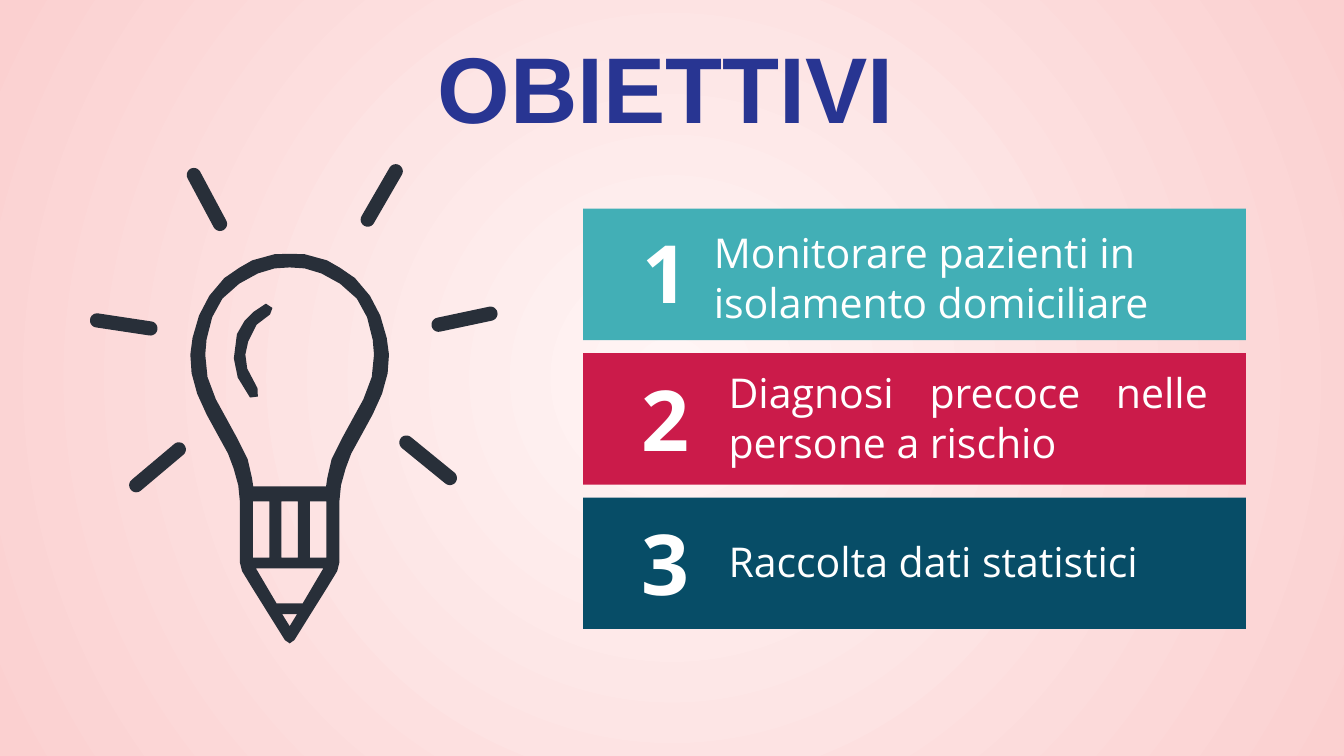
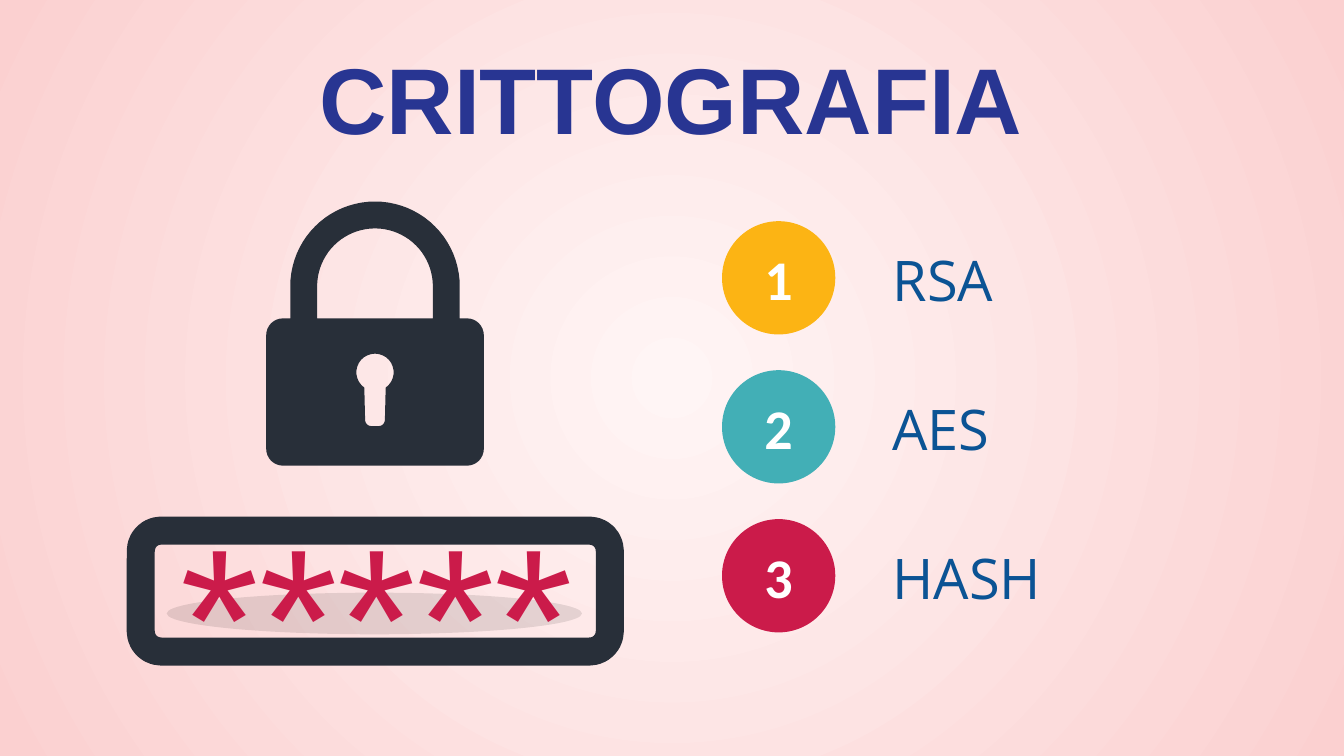
import math

import lxml.etree
import pptx
import pptx.dml.color
import pptx.enum.shapes
import pptx.enum.text
import pptx.oxml
import pptx.oxml.ns
import pptx.util

Pt = pptx.util.Pt
RGB = pptx.dml.color.RGBColor.from_string
qn = pptx.oxml.ns.qn
ALIGN = pptx.enum.text.PP_ALIGN
MIDDLE = pptx.enum.text.MSO_ANCHOR.MIDDLE
SHAPE = pptx.enum.shapes.MSO_SHAPE

COLORS = {
    "glow": "FFF5F5", "blush": "FBD0D0", "title": "283592", "ink": "282F39",
    "teal": "42AFB6", "crimson": "CB1B4A", "petrol": "074D67",
    "amber": "FCB414", "label": "0B5394", "white": "FFFFFF", "black": "000000",
}
TITLE = {"size": Pt(50), "name": "Arial", "bold": True}
NUMBER = {"size": Pt(45), "name": "Open Sans", "bold": True}
GOAL = {"size": Pt(22), "name": "Open Sans"}
BADGE = {"size": Pt(30), "name": "Calibri", "bold": True}
METHOD = {"size": Pt(30), "name": "Open Sans"}
PASSWORD = {"size": Pt(108), "name": "Arial"}


def arc(x, y, radius, start, end, steps=24):
    """Points on a circle, with angles in degrees, clockwise from the right."""
    angles = [math.radians(start + (end - start) * i / steps) for i in range(steps + 1)]
    return [(x + radius * math.cos(a), y + radius * math.sin(a)) for a in angles]


def write(shape, text, font_format, color, align=ALIGN.CENTER, anchor=None, inset=(5.14, 2.57)):
    frame = shape.text_frame
    across, down = map(Pt, inset)
    frame_format = {
        "word_wrap": True, "vertical_anchor": anchor,
        "margin_left": across, "margin_right": across,
        "margin_top": down, "margin_bottom": down,
    }
    for key, value in frame_format.items():
        setattr(frame, key, value)
    paragraph = frame.paragraphs[0]
    paragraph.alignment = align
    run = paragraph.add_run()
    run.text = text
    for key, value in font_format.items():
        setattr(run.font, key, value)
    run.font.color.rgb = RGB(COLORS[color])


deck = pptx.Presentation()
deck.slide_width, deck.slide_height = Pt(720), Pt(405)

# Background and title of both slides
slides = []
for title, box in [("OBIETTIVI", (71.3, 13.7, 571, 64)), ("CRITTOGRAFIA", (155.5, 19.4, 408.2, 60.5))]:
    slide = deck.slides.add_slide(deck.slide_layouts[6])
    fill = slide.background.fill
    fill.gradient()
    for stop, color in zip(fill.gradient_stops, ("glow", "blush")):
        stop.color.rgb = RGB(COLORS[color])
    gradient = slide.element.find(".//" + qn("a:gradFill"))
    radial = lxml.etree.Element(qn("a:path"), {"path": "circle"})
    lxml.etree.SubElement(radial, qn("a:fillToRect"), dict.fromkeys("ltrb", "50000"))
    gradient.replace(gradient.find(qn("a:lin")), radial)
    write(slide.shapes.add_textbox(*map(Pt, box)), title, TITLE, "title")
    slides.append(slide)
goals, encryption = slides

# Light bulb: right halves of the outlines as (distance from axis, y)
bulb_axis = 155.2
bulb_halves = [
    # outer edge
    [(0, 136), (8, 136.2), (20, 139.5), (27, 143.5), (35, 149), (43, 158.5), (48.5, 169),
     (52, 181), (53.2, 190), (52.5, 200), (49.5, 211), (44.5, 222), (38.5, 233), (33, 243),
     (30, 251), (27.5, 260), (26.7, 268), (26.7, 301), (25.5, 306), (20, 315), (2.5, 343),
     (0, 344.7)],
    # glass
    [(0, 143.3), (8, 143.8), (17, 146.5), (27, 152), (36, 160), (41.5, 170), (44.5, 182),
     (45.2, 190), (44, 202), (39.5, 214), (34, 224), (28, 235), (22.5, 246), (20.2, 256),
     (19.5, 260.6), (0, 260.6)],
    # pencil cone and tip
    [(0, 304.6), (18, 304.6), (7, 323.3), (0, 323.3)],
    [(0, 329), (4, 329), (0, 335.5)],
]
bulb = [
    [(bulb_axis + dx, y) for dx, y in half] + [(bulb_axis - dx, y) for dx, y in reversed(half)]
    for half in bulb_halves
]
for offset in (-15.3, 0, 15.3):
    left, right = bulb_axis + offset - 4.4, bulb_axis + offset + 4.4
    bulb.append([(left, 268.6), (right, 268.6), (right, 298.8), (left, 298.8)])

glint = [
    (125.3, 192), (127, 179), (131, 172), (136, 167), (142.5, 162.7), (146, 165), (144.7, 168.5),
    (137.5, 174), (133, 183), (131.5, 190), (132.5, 197.5), (138, 208), (138.2, 212.5),
    (134, 213), (127.4, 202.3),
]

rays = []
for x1, y1, x2, y2 in [
    (73, 260, 95.8, 240.8), (197, 117.7, 212, 91.8), (103.9, 93.8, 117.9, 120),
    (217.7, 237.1, 241, 256.1), (235, 174, 262.8, 168.1), (52, 171.7, 80.6, 176),
]:
    angle = math.degrees(math.atan2(y2 - y1, x2 - x1))
    rays.append(arc(x2, y2, 3.8, angle - 90, angle + 90, 12)
                + arc(x1, y1, 3.8, angle + 90, angle + 270, 12))

# Padlock: body with shackle, shackle opening, keyhole
lock_axis, lock_top, lock_bottom = 200.9, 170.6, 249.5
lock_left, lock_right = lock_axis - 58.3, lock_axis + 58.3
corner = 9
padlock = [
    [(lock_axis - 45.4, lock_top)]
    + arc(lock_axis, 153.4, 45.4, 180, 360, 40)
    + [(lock_axis + 45.4, lock_top)]
    + arc(lock_right - corner, lock_top + corner, corner, 270, 360, 8)
    + arc(lock_right - corner, lock_bottom - corner, corner, 0, 90, 8)
    + arc(lock_left + corner, lock_bottom - corner, corner, 90, 180, 8)
    + arc(lock_left + corner, lock_top + corner, corner, 180, 270, 8),
    [(lock_axis - 31, lock_top)] + arc(lock_axis, 153.4, 31, 180, 360, 40)
    + [(lock_axis + 31, lock_top)],
    arc(lock_axis, 199.5, 10, 125, 415)
    + arc(lock_axis + 2, 225, 3.3, 0, 90, 6) + arc(lock_axis - 2, 225, 3.3, 90, 180, 6),
]

icons = [(goals, bulb)] + [(goals, [ray]) for ray in rays] + [(goals, [glint]), (encryption, padlock)]
for slide, contours in icons:
    builder = None
    for contour in contours:
        points = [(Pt(x), Pt(y)) for x, y in contour]
        if builder is None:
            builder = slide.shapes.build_freeform(*points[0])
        else:
            builder.move_to(*points[0])
        builder.add_line_segments(points[1:], close=True)
    icon = builder.convert_to_shape()
    icon.shadow.inherit = False
    icon.fill.solid()
    icon.fill.fore_color.rgb = RGB(COLORS["ink"])
    icon.line.fill.background()

# Numbered goal bars
goal_rows = [
    ("teal", "Monitorare pazienti in isolamento domiciliare", (377.3, 119.5, 290.2), 43, ALIGN.LEFT, None),
    ("crimson", "Diagnosi precoce nelle persone a rischio", (385.2, 194.4, 267.1), 45, ALIGN.JUSTIFY, None),
    ("petrol", "Raccolta dati statistici", (385.2, 271.5, 255.6), 45, ALIGN.JUSTIFY, MIDDLE),
]
for i, (color, goal, (left, top, width), number_size, align, anchor) in enumerate(goal_rows):
    bar_top = 111.8 + 77.4 * i
    bar = goals.shapes.add_shape(SHAPE.RECTANGLE, Pt(312.4), Pt(bar_top), Pt(355.1), Pt(70.4))
    bar.shadow.inherit = False
    bar.fill.solid()
    bar.fill.fore_color.rgb = RGB(COLORS[color])
    bar.line.fill.background()
    number = goals.shapes.add_textbox(Pt(319), Pt(bar_top + 5), Pt(74.9), Pt(58.3))
    write(number, str(i + 1), {**NUMBER, "size": Pt(number_size)}, "white")
    description = goals.shapes.add_textbox(Pt(left), Pt(top), Pt(width), Pt(58.3))
    write(description, goal, GOAL, "white", align, anchor)

# Numbered encryption methods
for i, (color, method) in enumerate([("amber", "RSA"), ("teal", "AES"), ("crimson", "HASH")]):
    top = 118.5 + 79.8 * i
    badge = encryption.shapes.add_shape(SHAPE.OVAL, Pt(386.8), Pt(top), Pt(60.7), Pt(60.7))
    badge.shadow.inherit = False
    badge.fill.solid()
    badge.fill.fore_color.rgb = RGB(COLORS[color])
    badge.line.fill.background()
    write(badge, str(i + 1), BADGE, "white", anchor=MIDDLE)
    label = encryption.shapes.add_textbox(Pt(473), Pt(top + 10.4), Pt(213.1), Pt(38.9))
    write(label, method, METHOD, "label", ALIGN.JUSTIFY)

# Password field
shade = encryption.shapes.add_shape(SHAPE.OVAL, Pt(89.3), Pt(317.5), Pt(222.5), Pt(22.3))
shade.shadow.inherit = False
shade.fill.solid()
shade.fill.fore_color.rgb = RGB(COLORS["black"])
shade_color = shade.fill._xPr.find(".//" + qn("a:srgbClr"))
lxml.etree.SubElement(shade_color, qn("a:alpha"), {"val": "10000"})
shade.line.fill.background()

field = encryption.shapes.add_shape(SHAPE.ROUNDED_RECTANGLE, Pt(75.4), Pt(284.3), Pt(251.3), Pt(64.8))
field.adjustments[0] = 0.167
field.shadow.inherit = False
field.fill.background()
field.line.color.rgb = RGB(COLORS["ink"])
field.line.width = Pt(15)

password = encryption.shapes.add_textbox(Pt(4.3), Pt(254.9), Pt(395.3), Pt(81.4))
write(password, "*****", PASSWORD, "crimson", inset=(7.2, 7.2))

deck.save("out.pptx")
